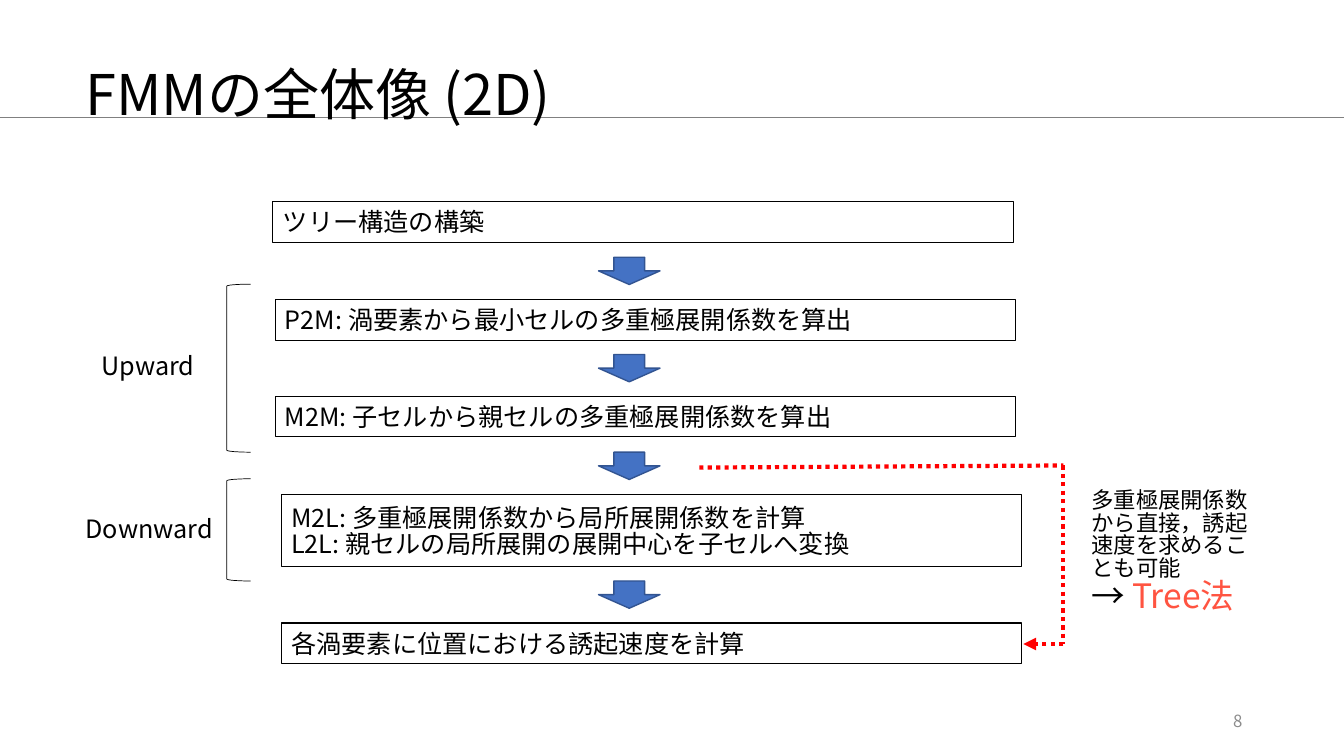
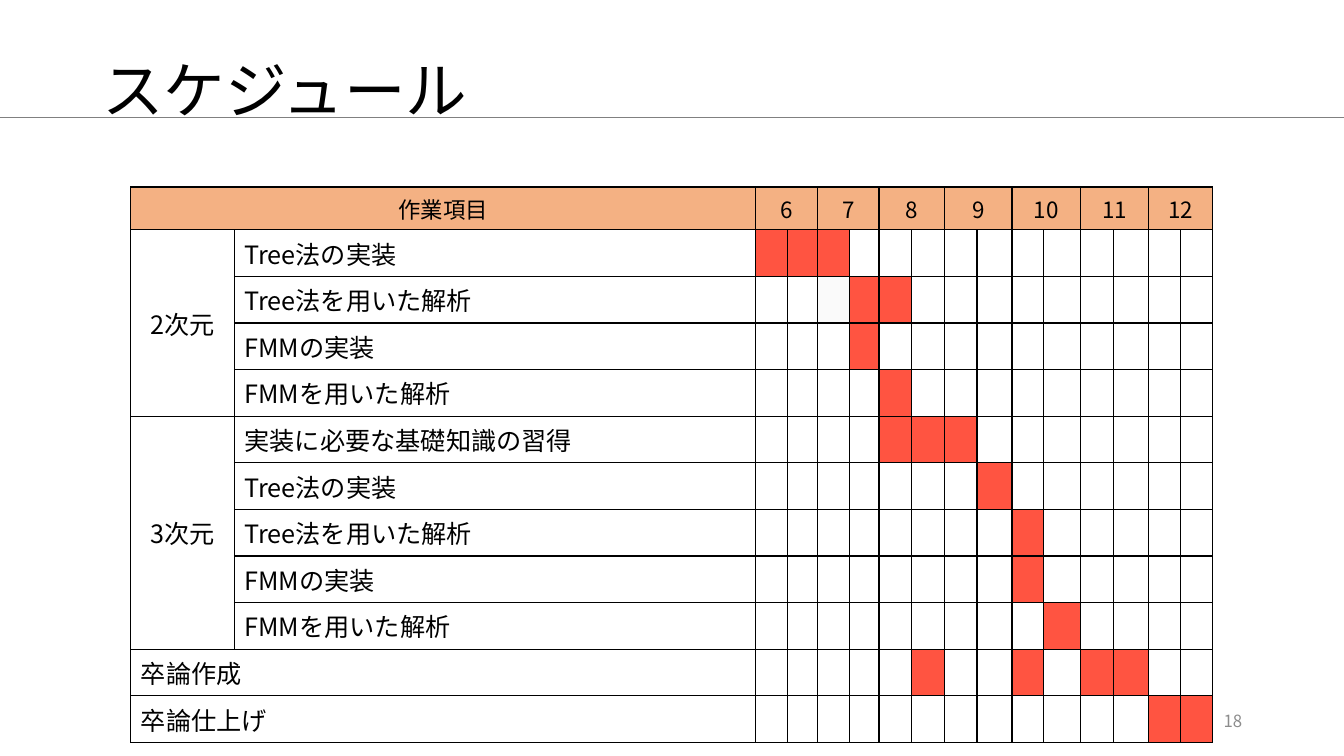
from lxml import etree
from pptx import Presentation
from pptx.dml.color import RGBColor
from pptx.enum.dml import MSO_LINE
from pptx.enum.shapes import MSO_CONNECTOR as CONNECTOR, MSO_SHAPE as SHAPE
from pptx.enum.text import MSO_ANCHOR as ANCHOR, PP_ALIGN as ALIGN
from pptx.oxml.ns import qn
from pptx.util import Pt

FONT = "Noto Sans CJK JP"
BLACK, WHITE, GRAY, RULE_GRAY = "000000", "FFFFFF", "8C8C8C", "808080"
BLUE, DARK_BLUE, RED = "4472C4", "325491", "FF0000"
CORAL, ORANGE, PALE_GRAY = "FF5441", "F4B183", "FAFAFA"
SLIDE_WIDTH, SLIDE_HEIGHT = 960, 540
TIGHT = 0.84

STEP_WIDTH = 529
STEPS = [  # left, top, height, lines
    (195, 144, 29, ["ツリー構造の構築"]),
    (196.5, 214, 29, ["P2M: 渦要素から最小セルの多重極展開係数を算出"]),
    (196.5, 283, 29, ["M2M: 子セルから親セルの多重極展開係数を算出"]),
    (201, 353.5, 51, ["M2L: 多重極展開係数から局所展開係数を計算",
                      "L2L: 親セルの局所展開の展開中心を子セルへ変換"]),
    (201, 445, 29, ["各渦要素に位置における誘起速度を計算"]),
]
PHASES = [  # name, label left, label top, bracket top, bracket height
    ("Upward", 65.5, 248.5, 203, 120),
    ("Downward", 54, 364.5, 342, 73),
]
BYPASS = [(499.5, 334), (759.5, 332.5), (759.5, 460), (731, 460)]

MONTHS = range(6, 13)
COLUMN_WIDTHS = [74, 372, 23, 21.5, 23, 21, 23, 24, 23, 25,
                 22.5, 26.5, 23.5, 25, 23, 23]
HEADER_HEIGHT, ROW_HEIGHT = 30.7, 33.3
FIRST_HALF_MONTH = 2
TASKS = [  # group, task, busy half months counted from the first
    ("2次元", "Tree法の実装", {0, 1, 2}),
    ("2次元", "Tree法を用いた解析", {3, 4}),
    ("2次元", "FMMの実装", {3}),
    ("2次元", "FMMを用いた解析", {4}),
    ("3次元", "実装に必要な基礎知識の習得", {4, 5, 6}),
    ("3次元", "Tree法の実装", {7}),
    ("3次元", "Tree法を用いた解析", {8}),
    ("3次元", "FMMの実装", {8}),
    ("3次元", "FMMを用いた解析", {9}),
    ("卒論作成", None, {5, 8, 10, 11}),
    ("卒論仕上げ", None, {12, 13}),
]


def color(value):
    return RGBColor.from_string(value)


def set_attributes(target, values):
    for name, value in values.items():
        setattr(target, name, value)


def add_run(paragraph, text, size, text_color=BLACK):
    run = paragraph.add_run()
    run.text = text
    set_attributes(run.font, {"name": FONT, "size": Pt(size), "bold": False})
    run.font.color.rgb = color(text_color)
    etree.SubElement(run.font._element, qn("a:ea"), typeface=FONT)


def fill_text(frame, paragraphs, align=ALIGN.LEFT, spacing=None):
    """Write paragraphs, each a list of (text, size[, colour]) runs."""
    for index, runs in enumerate(paragraphs):
        paragraph = frame.add_paragraph() if index else frame.paragraphs[0]
        set_attributes(paragraph, {"alignment": align, "line_spacing": spacing})
        for run in runs:
            add_run(paragraph, *run)


def add_text(slide, box, paragraphs, anchor=ANCHOR.MIDDLE, **style):
    frame = slide.shapes.add_textbox(*map(Pt, box)).text_frame
    set_attributes(frame, {"word_wrap": True, "vertical_anchor": anchor})
    fill_text(frame, paragraphs, **style)


def add_shape(slide, kind, box, line_color, line_width, fill=None):
    shape = slide.shapes.add_shape(kind, *map(Pt, box))
    shape.shadow.inherit = False
    if fill:
        shape.fill.solid()
        shape.fill.fore_color.rgb = color(fill)
    else:
        shape.fill.background()
    shape.line.color.rgb = color(line_color)
    shape.line.width = Pt(line_width)
    return shape


def add_line(slide, start, end, line_color, width, dash=None, arrow=False):
    connector = slide.shapes.add_connector(
        CONNECTOR.STRAIGHT, *map(Pt, (*start, *end)))
    connector.line.color.rgb = color(line_color)
    set_attributes(connector.line, {"width": Pt(width), "dash_style": dash})
    if arrow:
        etree.SubElement(connector.line._get_or_add_ln(),
                         qn("a:tailEnd"), type="triangle")
    etree.SubElement(connector._element.spPr, qn("a:effectLst"))


def add_slide(presentation, title, number, left, size, spacing=None):
    """Add a slide with the shared rule, title and page number."""
    slide = presentation.slides.add_slide(presentation.slide_layouts[6])
    add_line(slide, (0, 84), (SLIDE_WIDTH, 84), RULE_GRAY, 0.5)
    add_text(slide, (left, 29, 828, 75), [[(title, size)]], spacing=spacing)
    add_text(slide, (678.5, 500.5, 216, 29), [[(str(number), 12, GRAY)]],
             align=ALIGN.RIGHT)
    return slide


def add_step(slide, left, top, height, lines):
    shape = add_shape(slide, SHAPE.RECTANGLE, (left, top, STEP_WIDTH, height),
                      BLACK, 0.75)
    set_attributes(shape.text_frame, {
        "word_wrap": True, "vertical_anchor": ANCHOR.MIDDLE,
        "margin_top": Pt(5), "margin_bottom": Pt(2)})
    fill_text(shape.text_frame, [[(line, 18)] for line in lines], spacing=TIGHT)


def add_down_arrow(slide, gap_top, gap_bottom):
    width, height = 44, 19.5
    top = (gap_top + gap_bottom - height) / 2
    add_shape(slide, SHAPE.DOWN_ARROW, (427.5, top, width, height),
              DARK_BLUE, 1, BLUE)


def add_phase(slide, name, left, top, bracket_top, bracket_height):
    add_shape(slide, SHAPE.LEFT_BRACKET,
              (162, bracket_top, 17, bracket_height), BLACK, 0.5)
    add_text(slide, (left, top, 112, 29), [[(name, 18)]], spacing=TIGHT)


def build_overview(presentation):
    slide = add_slide(presentation, "FMMの全体像 (2D)", 8, 54, 40)
    for step in STEPS:
        add_step(slide, *step)
    for (_, top, height, _), (_, next_top, _, _) in zip(STEPS, STEPS[1:]):
        add_down_arrow(slide, top + height, next_top)
    for phase in PHASES:
        add_phase(slide, *phase)
    for start, end in zip(BYPASS, BYPASS[1:]):
        add_line(slide, start, end, RED, 3, MSO_LINE.ROUND_DOT,
                 arrow=end == BYPASS[-1])
    add_text(slide, (772.5, 347, 140, 112), [
        [("多重極展開係数から直接，誘起速度を求めることも可能", 16)],
        [("→ ", 24), ("Tree法", 24, CORAL)],
    ], anchor=ANCHOR.TOP, spacing=TIGHT)


def style_cell(cell, fill):
    cell.fill.solid()
    cell.fill.fore_color.rgb = color(fill)
    properties = cell._tc.get_or_add_tcPr()
    for index, side in enumerate(("lnL", "lnR", "lnT", "lnB")):
        border = etree.Element(qn(f"a:{side}"), w=str(Pt(1)))
        solid = etree.SubElement(border, qn("a:solidFill"))
        etree.SubElement(solid, qn("a:srgbClr"), val=BLACK)
        properties.insert(index, border)


def write_cell(cell, text, size=18, align=ALIGN.LEFT):
    cell.vertical_anchor = ANCHOR.MIDDLE
    fill_text(cell.text_frame, [[(text, size)]], align)


def fill_header(table):
    table.cell(0, 0).merge(table.cell(0, 1))
    write_cell(table.cell(0, 0), "作業項目", 16, ALIGN.CENTER)
    for index, month in enumerate(MONTHS):
        column = FIRST_HALF_MONTH + 2 * index
        table.cell(0, column).merge(table.cell(0, column + 1))
        write_cell(table.cell(0, column), str(month), 16, ALIGN.CENTER)


def fill_tasks(table):
    groups = [group for group, _, _ in TASKS]
    for row, (group, task, _) in enumerate(TASKS, 1):
        cell = table.cell(row, 0)
        if task is None:
            cell.merge(table.cell(row, 1))
            write_cell(cell, group)
            continue
        write_cell(table.cell(row, 1), task)
        if groups.index(group) == row - 1:
            cell.merge(table.cell(row + groups.count(group) - 1, 0))
            write_cell(cell, group, align=ALIGN.CENTER)


def cell_fill(row, column):
    if row == 0:
        return ORANGE
    if column - FIRST_HALF_MONTH in TASKS[row - 1][2]:
        return CORAL
    return PALE_GRAY if (row, column) == (2, 4) else WHITE


def build_schedule(presentation):
    slide = add_slide(presentation, "スケジュール", 18, 66, 44, 0.9)
    heights = [HEADER_HEIGHT] + [ROW_HEIGHT] * len(TASKS)
    table = slide.shapes.add_table(
        len(heights), len(COLUMN_WIDTHS), Pt(93.5), Pt(133.5),
        Pt(sum(COLUMN_WIDTHS)), Pt(sum(heights))).table
    set_attributes(table, {"first_row": False, "horz_banding": False})
    for column, width in zip(table.columns, COLUMN_WIDTHS):
        column.width = Pt(width)
    for row, height in zip(table.rows, heights):
        row.height = Pt(height)
    fill_header(table)
    fill_tasks(table)
    for row in range(len(heights)):
        for column in range(len(COLUMN_WIDTHS)):
            style_cell(table.cell(row, column), cell_fill(row, column))


def main():
    presentation = Presentation()
    set_attributes(presentation, {"slide_width": Pt(SLIDE_WIDTH),
                                  "slide_height": Pt(SLIDE_HEIGHT)})
    build_overview(presentation)
    build_schedule(presentation)
    presentation.save("out.pptx")


if __name__ == "__main__":
    main()
